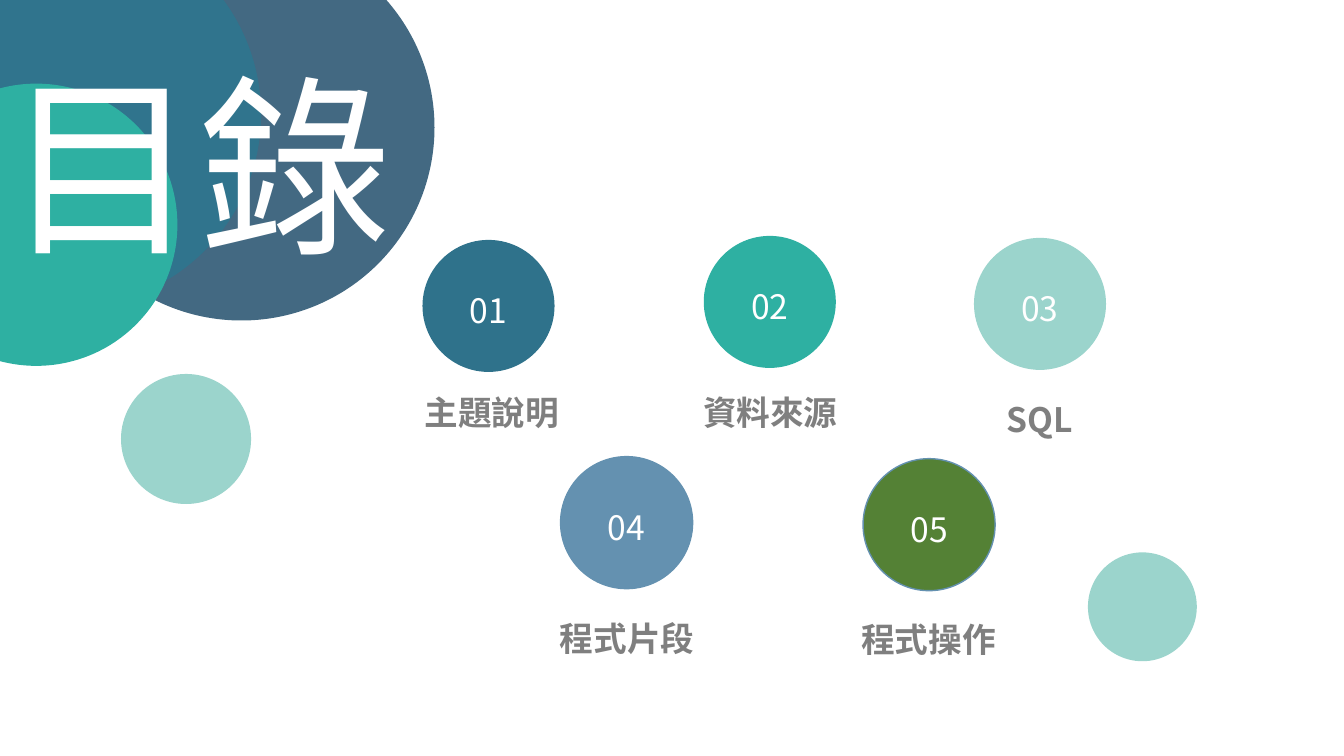
from lxml.etree import SubElement
from pptx import Presentation
from pptx.dml.color import RGBColor
from pptx.enum.shapes import MSO_SHAPE
from pptx.enum.text import MSO_ANCHOR, PP_ALIGN
from pptx.oxml.ns import qn
from pptx.util import Inches, Pt

FONT = "Noto Sans CJK SC"
COLORS = {
    "white": "FFFFFF", "gray": "7F7F7F", "mint": "9BD4CC", "teal": "2EB0A2",
    "slate": "436982", "ocean": "30748D", "deep": "2F728B", "blue": "6491B0",
    "green": "548135",
}
TITLE = "目錄"
# left, top, diameter, fill
DECORATIONS = [
    (10.79, 5.48, 1.08, "mint"),
    (1.2, 3.71, 1.29, "mint"),
    (0.48, -0.65, 3.83, "slate"),
    (-1.24, -0.78, 3.83, "ocean"),
    (-1.04, 0.83, 2.8, "teal"),
]
# label, circle left, circle top, label centre, label top, fill, outline
TOPICS = [
    ("主題說明", 4.19, 2.38, 4.88, 3.83, "deep", None),
    ("資料來源", 6.98, 2.34, 7.64, 3.83, "teal", None),
    ("SQL", 9.66, 2.36, 10.31, 3.9, "mint", None),
    ("程式片段", 5.56, 4.53, 6.22, 6.07, "blue", "blue"),
    ("程式操作", 8.56, 4.55, 9.21, 6.08, "green", "blue"),
]
TOPIC_DIAMETER = 1.31
LABEL_WIDTH, LABEL_HEIGHT = 2.14, 0.44


def rgb(name):
    return RGBColor.from_string(COLORS[name])


def add_circle(slide, left, top, diameter, fill, outline=None):
    circle = slide.shapes.add_shape(
        MSO_SHAPE.OVAL, Inches(left), Inches(top), Inches(diameter), Inches(diameter))
    circle.shadow.inherit = False
    circle.fill.solid()
    circle.fill.fore_color.rgb = rgb(fill)
    if outline:
        circle.line.color.rgb = rgb(outline)
        circle.line.width = Pt(1)
    else:
        circle.line.fill.background()
    return circle


def write(shape, text, size, color, margins=(0, 0), bold=False,
          align=PP_ALIGN.CENTER, anchor=MSO_ANCHOR.MIDDLE, spacing=1.2):
    """Fill a shape with one paragraph; margins are horizontal, vertical."""
    frame = shape.text_frame
    frame.word_wrap = True
    frame.vertical_anchor = anchor
    frame.margin_left = frame.margin_right = Inches(margins[0])
    frame.margin_top = frame.margin_bottom = Inches(margins[1])
    paragraph = frame.paragraphs[0]
    paragraph.text = text
    paragraph.alignment = align
    paragraph.line_spacing = spacing
    font = paragraph.font
    font.name, font.size, font.bold = FONT, Pt(size), bold
    font.color.rgb = rgb(color)
    # East Asian characters take their typeface from a:ea
    properties = paragraph._p.pPr.find(qn("a:defRPr"))
    SubElement(properties, qn("a:ea")).set("typeface", FONT)


def add_topic(slide, number, topic):
    label, left, top, label_centre, label_top, fill, outline = topic
    circle = add_circle(slide, left, top, TOPIC_DIAMETER, fill, outline)
    write(circle, f"{number:02}", 24, "white", margins=(0.02, 0.02))
    box = slide.shapes.add_textbox(
        Inches(label_centre - LABEL_WIDTH / 2), Inches(label_top),
        Inches(LABEL_WIDTH), Inches(LABEL_HEIGHT))
    write(box, label, 24, "gray", bold=True)


def place_title(slide):
    title = slide.shapes.title
    title.left, title.top = Inches(-0.05), Inches(0.41)
    title.width, title.height = Inches(4.07), Inches(2.42)
    write(title, TITLE, 138, "white", margins=(0.1, 0.05),
          align=PP_ALIGN.LEFT, anchor=MSO_ANCHOR.TOP, spacing=1.0)
    # Bring the title in front of the circles
    title.element.getparent().append(title.element)


def main():
    presentation = Presentation()
    presentation.slide_width, presentation.slide_height = Inches(13.33), Inches(7.5)
    slide = presentation.slides.add_slide(presentation.slide_layouts[5])
    for decoration in DECORATIONS:
        add_circle(slide, *decoration)
    place_title(slide)
    for number, topic in enumerate(TOPICS, start=1):
        add_topic(slide, number, topic)
    presentation.save("out.pptx")


if __name__ == "__main__":
    main()
